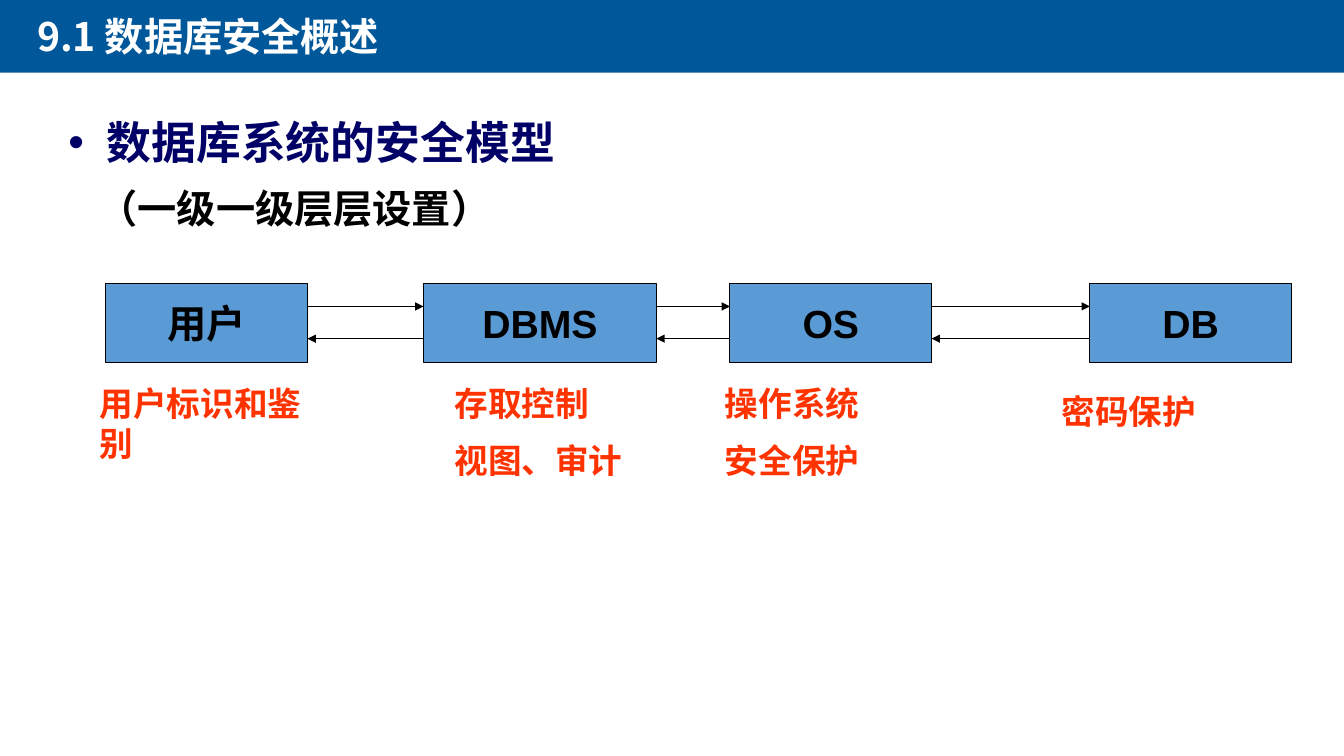
from lxml.etree import SubElement
from pptx import Presentation
from pptx.dml.color import RGBColor
from pptx.enum.shapes import MSO_CONNECTOR as Connector, MSO_SHAPE as Shape
from pptx.enum.text import MSO_ANCHOR as Anchor, PP_ALIGN as Align
from pptx.oxml.ns import qn
from pptx.util import Inches, Pt

CJK_FONT = "Noto Sans CJK SC"
BLACK, WHITE, NAVY, RED = "000000", "FFFFFF", "000066", "FF3300"
BANNER_BLUE, STAGE_BLUE = "00589A", "5B9BD5"
STAGE_TOP, STAGE_HEIGHT = 2.81, 0.79
REQUEST_Y, REPLY_Y = 3.04, 3.36
STAGES = [("用户", 1.05, 2), ("DBMS", 4.2, 2.31), ("OS", 7.24, 2), ("DB", 10.81, 2)]
MEASURES = [
    (["用户标识和鉴别"], 0.89, 3.75, 2.31, 1.51),
    (["存取控制", "视图、审计"], 4.41, 3.75, 2.21, 1.11),
    (["操作系统", "安全保护"], 7.09, 3.75, 2.21, 1.11),
    (["密码保护"], 10.43, 3.83, 2.54, 0.5),
]


def colour(hex_string):
    """Turn a hex string into a colour."""
    return RGBColor.from_string(hex_string)


def add_span(para, text, size, hex_string, font="Arial"):
    """Add one bold run to a paragraph."""
    span = para.add_run()
    span.text = text
    span.font.size = Pt(size)
    span.font.bold = True
    span.font.color.rgb = colour(hex_string)
    span.font.name = font
    SubElement(span.font._element, qn("a:ea"), typeface=CJK_FONT)


def add_text(page, lines, left, top, width, height, size, hex_string, font="Arial"):
    """Add a text box with one paragraph per line and return its first paragraph."""
    box = page.shapes.add_textbox(Inches(left), Inches(top), Inches(width), Inches(height))
    frame = box.text_frame
    frame.word_wrap = True
    for index, line in enumerate(lines):
        para = frame.add_paragraph() if index else frame.paragraphs[0]
        if index:
            para.space_before = Pt(size / 2)
        add_span(para, line, size, hex_string, font)
    return frame.paragraphs[0]


def add_heading(page, text):
    """Add the bulleted heading."""
    para = add_text(page, [text], 0.58, 1.15, 11.33, 0.58, 32, NAVY, "Lato")
    para.alignment = Align.JUSTIFY
    para.line_spacing = 0.9
    properties = para._p.get_or_add_pPr()
    properties.set("marL", str(Inches(0.38)))
    properties.set("indent", str(-Inches(0.38)))
    SubElement(properties, qn("a:buFont"), typeface="Arial")
    SubElement(properties, qn("a:buChar"), char="•")


def add_rectangle(page, left, top, width, height, fill):
    """Add a filled rectangle without line or shadow."""
    box = page.shapes.add_shape(
        Shape.RECTANGLE, Inches(left), Inches(top), Inches(width), Inches(height))
    box.shadow.inherit = False
    box.fill.solid()
    box.fill.fore_color.rgb = colour(fill)
    box.line.fill.background()
    return box


def add_stage(page, name, left, width):
    """Add one labelled stage of the security model."""
    box = add_rectangle(page, left, STAGE_TOP, width, STAGE_HEIGHT, STAGE_BLUE)
    box.line.color.rgb = colour(BLACK)
    box.line.width = Pt(0.75)
    frame = box.text_frame
    frame.word_wrap = False
    frame.vertical_anchor = Anchor.MIDDLE
    para = frame.paragraphs[0]
    para.alignment = Align.CENTER
    add_span(para, name, 28, BLACK)


def add_arrow(page, start, end, y):
    """Add a horizontal arrow pointing at its end."""
    arrow = page.shapes.add_connector(
        Connector.STRAIGHT, Inches(start), Inches(y), Inches(end), Inches(y))
    arrow.line.color.rgb = colour(BLACK)
    arrow.line.width = Pt(0.75)
    SubElement(arrow.line._get_or_add_ln(), qn("a:tailEnd"), type="triangle")
    SubElement(arrow._element.spPr, qn("a:effectLst"))


def main():
    """Build the slide and save the deck."""
    deck = Presentation()
    deck.slide_width, deck.slide_height = Inches(13.33), Inches(7.5)
    page = deck.slides.add_slide(deck.slide_layouts[6])

    add_rectangle(page, 0, -0.02, 13.33, 0.74, BANNER_BLUE)
    add_text(page, ["9.1 数据库安全概述"], 0.27, 0.07, 5.53, 0.57, 28, WHITE, CJK_FONT)
    add_heading(page, "数据库系统的安全模型")
    add_text(page, ["（一级一级层层设置）"], 0.88, 1.78, 12.09, 0.57, 28, BLACK)

    for name, left, width in STAGES:
        add_stage(page, name, left, width)
    for (_, left, width), (_, next_left, _) in zip(STAGES, STAGES[1:]):
        add_arrow(page, left + width, next_left, REQUEST_Y)
        add_arrow(page, next_left, left + width, REPLY_Y)
    for lines, left, top, width, height in MEASURES:
        add_text(page, lines, left, top, width, height, 24, RED)

    deck.save("out.pptx")


if __name__ == "__main__":
    main()
